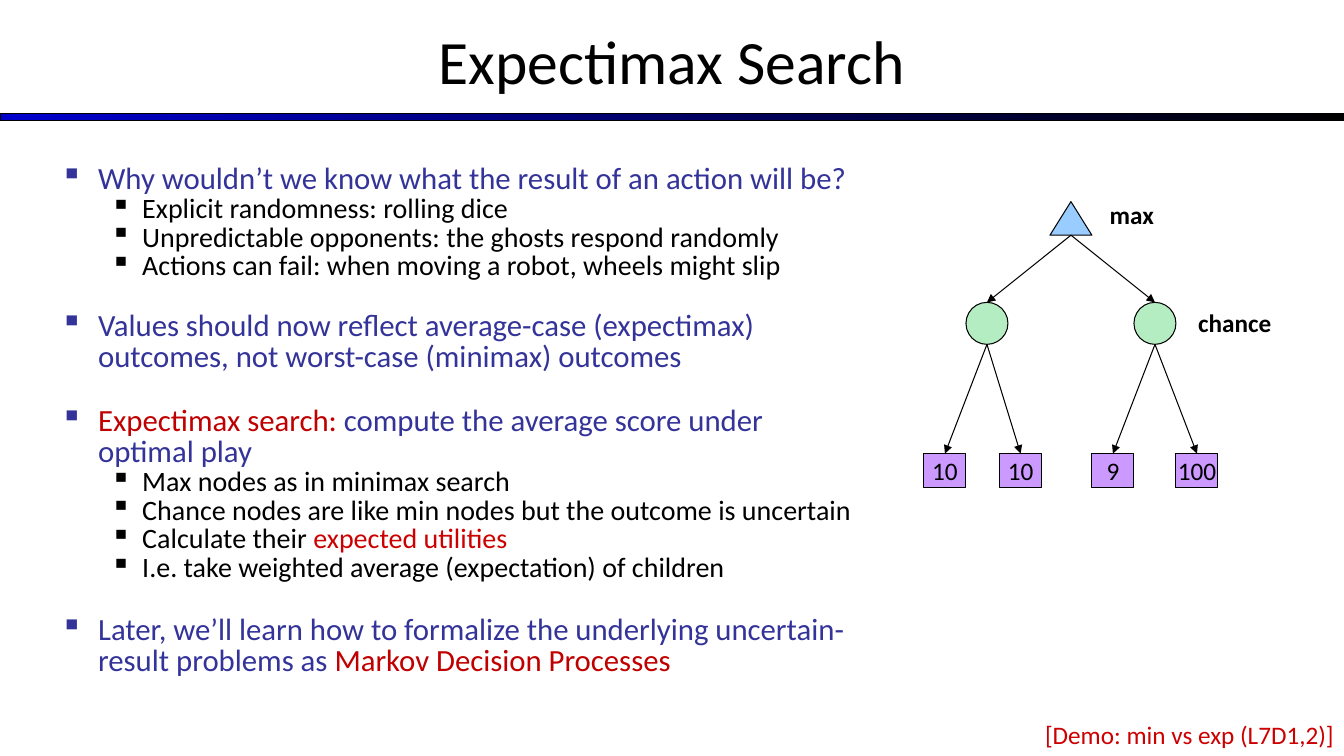
from lxml import etree
from pptx import Presentation
from pptx.dml.color import RGBColor
from pptx.enum.shapes import MSO_CONNECTOR as CONN, MSO_SHAPE as SHAPE
from pptx.enum.text import MSO_ANCHOR as ANCHOR, PP_ALIGN as ALIGN
from pptx.oxml.ns import qn
from pptx.util import Emu, Pt

PX = 9525  # 96 px to the inch
FONT = "Calibri"
C = {"ink": "000000", "bar": "0000CC", "topic": "333399", "term": "C00000",
     "red": "CC0000", "max": "99CCFF", "chance": "B5EDC2", "leaf": "CC99FF"}

# Each point: level, space before in points, runs of (text, colour)
POINTS = [
    (0, 0, [("Why wouldn’t we know what the result of an action will be?", "topic")]),
    (1, 0, [("Explicit randomness: rolling dice", "ink")]),
    (1, 0, [("Unpredictable opponents: the ghosts respond randomly", "ink")]),
    (1, 0, [("Actions can fail: when moving a robot, wheels might slip", "ink")]),
    (0, 21, [("Values should now reflect average-case (expectimax) outcomes, "
              "not worst-case (minimax) outcomes", "topic")]),
    (0, 23, [("Expectimax search:", "term"),
             (" compute the average score under optimal play", "topic")]),
    (1, 0, [("Max nodes as in minimax search", "ink")]),
    (1, 0, [("Chance nodes are like min nodes but the outcome is uncertain", "ink")]),
    (1, 0, [("Calculate their ", "ink"), ("expected utilities", "red")]),
    (1, 0, [("I.e. take weighted average (expectation) of children", "ink")]),
    (0, 23, [("Later, we’ll learn how to formalize the underlying "
              "uncertain-result problems as ", "topic"),
             ("Markov Decision Processes", "term")]),
]
# Per level: text size in points, left margin and hanging indent in px, bullet colour
LEVELS = [(22, 36, 36, "topic"), (20, 78, 30, "ink")]

# Chance nodes: centre x, then leaves as (centre x, value)
TREE = [(60, [(20, "10"), (92, "10")]),
        (220, [(180, "9"), (260, "100")])]


def px(*lengths):
    return [Emu(n * PX) for n in lengths]


def rgb(name):
    return RGBColor.from_string(C[name])


def add_run(p, text, size, color, bold=False):
    r = p.add_run()
    r.text = text
    r.font.name, r.font.size, r.font.bold = FONT, Pt(size), bold
    r.font.color.rgb = rgb(color)


def add_text(s, box, text, size, color="ink", align=ALIGN.CENTER,
             anchor=ANCHOR.MIDDLE, bold=False):
    tf = s.shapes.add_textbox(*px(*box)).text_frame
    tf.word_wrap, tf.vertical_anchor = True, anchor
    p = tf.paragraphs[0]
    p.alignment = align
    add_run(p, text, size, color, bold)


def add_node(s, kind, box, fill=None):
    sp = s.shapes.add_shape(kind, *px(*box))
    sp.shadow.inherit = False
    if fill:
        sp.fill.solid()
        sp.fill.fore_color.rgb = rgb(fill)
    sp.line.color.rgb, sp.line.width = rgb("ink"), Pt(0.75)
    return sp


def add_arrow(s, start, end):
    arrow = s.shapes.add_connector(CONN.STRAIGHT, *px(*start, *end))
    arrow.line.color.rgb, arrow.line.width = rgb("ink"), Pt(0.75)
    etree.SubElement(arrow.line._get_or_add_ln(), qn("a:tailEnd"), type="triangle")
    etree.SubElement(arrow._element.spPr, qn("a:effectLst"))


def add_bullet(p, color):
    pPr = p._p.get_or_add_pPr()
    clr = etree.SubElement(pPr, qn("a:buClr"))
    etree.SubElement(clr, qn("a:srgbClr"), val=C[color])
    etree.SubElement(pPr, qn("a:buChar"), char="▪")
    return pPr


def header(s, x, y, w, h):
    # Gradient rule under the title
    bar = add_node(s, SHAPE.RECTANGLE, (x, y + h - 12, w, 7))
    bar.fill.gradient()
    bar.fill.gradient_angle = 0
    for stop, color in zip(bar.fill.gradient_stops, ("bar", "ink")):
        stop.color.rgb = rgb(color)
    add_text(s, (x, y - 3, w, h), "Expectimax Search", 44)


def points(s, x, y, w, h):
    tf = s.shapes.add_textbox(*px(x, y, w, h)).text_frame
    tf.word_wrap = True
    for i, (level, before, runs) in enumerate(POINTS):
        p = tf.add_paragraph() if i else tf.paragraphs[0]
        size, margin, hang, color = LEVELS[level]
        pPr = add_bullet(p, color)
        pPr.set("marL", str(margin * PX))
        pPr.set("indent", str(-hang * PX))
        p.level, p.line_spacing = level, 0.85
        if before:
            p.space_before = Pt(before)
        for text, run_color in runs:
            add_run(p, text, size, run_color)


def tree(s, x, y, w, h):
    node, low = 40, 32  # node width; height of the root and the leaves
    chance_y, leaf_y, root_x = y + 96, y + h - low, x + 140

    # Root
    add_node(s, SHAPE.ISOSCELES_TRIANGLE, (root_x - node // 2, y, node, low), "max")
    for cx, leaves in TREE:
        # Chance node
        cx += x
        add_arrow(s, (root_x, y + low), (cx, chance_y))
        add_node(s, SHAPE.OVAL, (cx - node // 2, chance_y, node, node), "chance")
        # Leaves
        for lx, value in leaves:
            lx += x
            add_arrow(s, (cx, chance_y + node), (lx, leaf_y))
            leaf = add_node(s, SHAPE.RECTANGLE,
                            (lx - node // 2, leaf_y, node, low), "leaf")
            tf = leaf.text_frame
            tf.word_wrap, tf.vertical_anchor = False, ANCHOR.MIDDLE
            tf.paragraphs[0].alignment = ALIGN.CENTER
            add_run(tf.paragraphs[0], value, 18, "ink")

    # Layer labels
    add_text(s, (x + 163, y - 7, 70, 38), "max", 18, bold=True)
    add_text(s, (x + w - 112, chance_y, 112, 38), "chance", 18, bold=True)


def footer(s, x, y, w, h):
    add_text(s, (x, y, w, h), "[Demo: min vs exp (L7D1,2)]", 18, "red",
             ALIGN.RIGHT, ANCHOR.TOP)


def main():
    prs = Presentation()
    prs.slide_width, prs.slide_height = px(1280, 720)
    s = prs.slides.add_slide(prs.slide_layouts[6])
    header(s, 0, 0, 1280, 120)
    points(s, 48, 152, 784, 512)
    tree(s, 880, 192, 352, 272)
    footer(s, 856, 680, 424, 38)
    prs.save("out.pptx")


if __name__ == "__main__":
    main()
